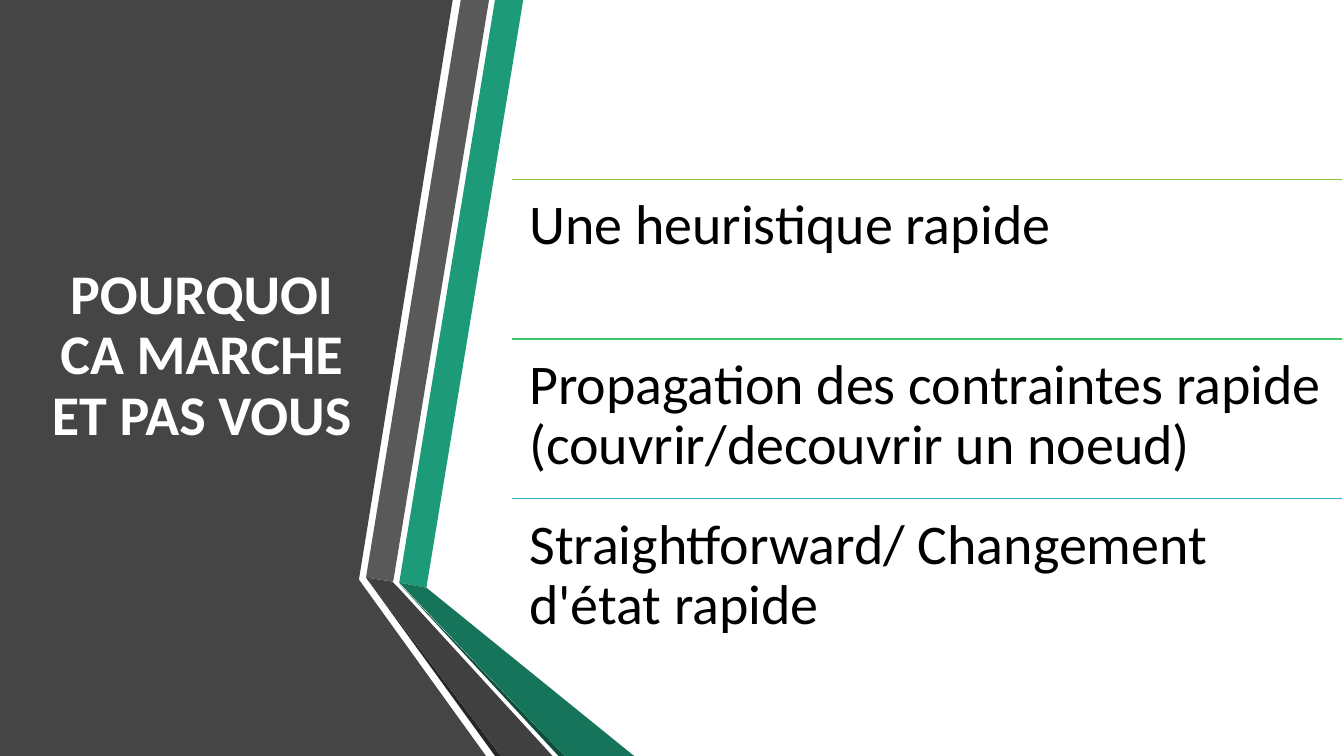
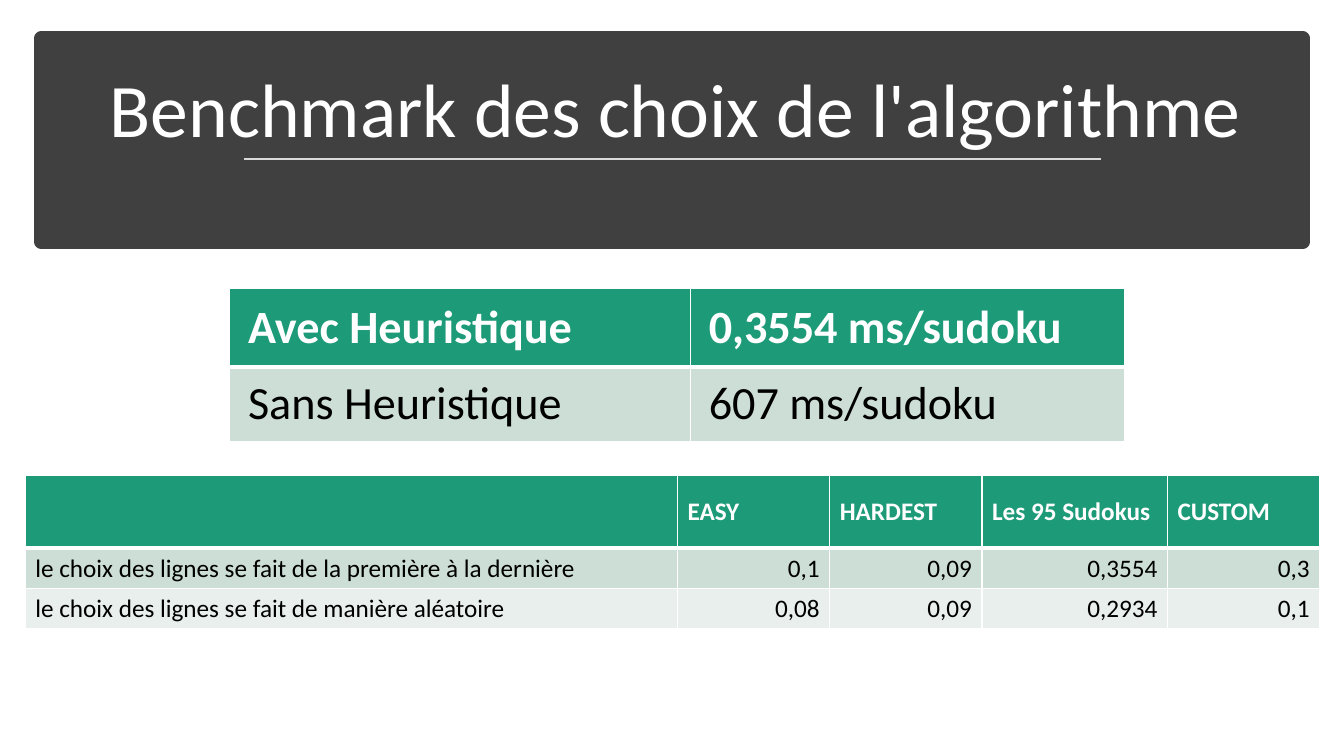
from lxml import etree
from pptx import Presentation
from pptx.dml.color import RGBColor
from pptx.enum.shapes import MSO_CONNECTOR, MSO_SHAPE
from pptx.enum.text import MSO_ANCHOR as Anchor, PP_ALIGN as Align
from pptx.oxml.ns import qn
from pptx.util import Inches, Pt

FONT = "Calibri"
WHITE, BLACK = "FFFFFF", "000000"
PANEL, BAND, RULE = "454545", "404040", "D9D9D9"
GREEN, BODY_FILLS = "1D9A78", ("CDDED6", "E8EFEC")
WIDTH, HEIGHT = 13.33, 7.5


def color(value):
    return RGBColor.from_string(value)


def write(frame, text, size, ink, bold=False, align=Align.LEFT, spacing=None):
    paragraph = frame.paragraphs[0]
    paragraph.alignment = align
    if spacing:
        paragraph.line_spacing = spacing
    run = paragraph.add_run()
    run.text = text
    run.font.name = FONT
    run.font.size = Pt(size)
    run.font.bold = bold
    run.font.color.rgb = color(ink)


def add_text(slide, box, text, size, ink, anchor=Anchor.TOP, insets=(0.1, 0.05), **style):
    frame = slide.shapes.add_textbox(*map(Inches, box)).text_frame
    frame.word_wrap = True
    frame.vertical_anchor = anchor
    frame.margin_left = frame.margin_right = Inches(insets[0])
    frame.margin_top = frame.margin_bottom = Inches(insets[1])
    write(frame, text, size, ink, spacing=0.9, **style)


def add_title(slide, box, text, size, **style):
    add_text(slide, box, text, size, WHITE, align=Align.CENTER, **style)


def add_rule(slide, left, top, width, ink, weight):
    line = slide.shapes.add_connector(
        MSO_CONNECTOR.STRAIGHT,
        Inches(left), Inches(top), Inches(left + width), Inches(top))
    line.line.color.rgb = color(ink)
    line.line.width = Pt(weight)
    etree.SubElement(line._element.spPr, qn("a:effectLst"))


def add_outline(slide, points, fill):
    corners = [(Inches(x), Inches(y)) for x, y in points]
    builder = slide.shapes.build_freeform(*corners[0], scale=1.0)
    builder.add_line_segments(corners[1:], close=True)
    shape = builder.convert_to_shape()
    shape.shadow.inherit = False
    shape.fill.solid()
    shape.fill.fore_color.rgb = color(fill)
    shape.line.fill.background()


# Tables: green header, tinted rows, white grid
def add_border(cell, side, weight):
    line = etree.SubElement(cell._tc.get_or_add_tcPr(), qn("a:ln" + side), w=str(Pt(weight)))
    fill = etree.SubElement(line, qn("a:solidFill"))
    etree.SubElement(fill, qn("a:srgbClr"), val=WHITE)


def add_grid(slide, left, top, widths, heights, rows, size, insets, numbers_right=False):
    table = slide.shapes.add_table(
        len(rows), len(widths), Inches(left), Inches(top),
        Inches(sum(widths)), Inches(sum(heights))).table
    for column, width in zip(table.columns, widths):
        column.width = Inches(width)
    for r, texts in enumerate(rows):
        table.rows[r].height = Inches(heights[r])
        header = r == 0
        for c, text in enumerate(texts):
            cell = table.cell(r, c)
            cell.margin_left = cell.margin_right = Inches(insets[0])
            cell.margin_top = cell.margin_bottom = Inches(insets[1])
            cell.vertical_anchor = Anchor.MIDDLE
            for side in "LRTB":
                under_header = (r, side) in ((0, "B"), (1, "T"))
                add_border(cell, side, 3 if under_header else 1)
            cell.fill.solid()
            cell.fill.fore_color.rgb = color(GREEN if header else BODY_FILLS[(r - 1) % 2])
            if text:
                right = numbers_right and not header and c > 0
                write(cell.text_frame, text, size, WHITE if header else BLACK,
                      bold=header, align=Align.RIGHT if right else Align.LEFT)


# Dark side panel with folded ribbons
def add_side_panel(slide):
    outlines = [
        (PANEL, [(0, 0), (4.49, 0), (3.56, 5.75), (4.82, HEIGHT), (0, HEIGHT)]),
        (GREEN, [(3.96, 5.78), (4.23, 5.83), (5.19, 0), (4.91, 0)]),
        ("595959", [(4.85, 0), (4.57, 0), (3.63, 5.73), (3.9, 5.77)]),
        ("262626", [(3.63, 5.73), (4.91, HEIGHT), (4.97, HEIGHT)]),
        ("0E4D3C", [(3.96, 5.79), (5.54, HEIGHT), (5.6, HEIGHT)]),
        ("16745A", [(3.96, 5.78), (5.6, HEIGHT), (6.29, HEIGHT), (4.23, 5.83)]),
        (BAND, [(5.48, HEIGHT), (3.95, 5.83), (3.89, 5.77), (3.63, 5.73), (4.97, HEIGHT)]),
    ]
    for fill, points in outlines:
        add_outline(slide, points, fill)


def add_reasons(slide, left, top, width, height, reasons):
    step = height / len(reasons)
    for index, (ink, text) in enumerate(reasons):
        y = top + index * step
        add_rule(slide, left, y, width, ink, 1)
        add_text(slide, (left, y, width, step), text, 40, BLACK, insets=(0.17, 0.17))


def add_title_band(slide, left, top, width, height, text):
    band = slide.shapes.add_shape(
        MSO_SHAPE.RECTANGLE, *map(Inches, (left, top, width, height)))
    band.shadow.inherit = False
    band.fill.solid()
    band.fill.fore_color.rgb = color(BAND)
    band.line.color.rgb = color(BAND)
    band.line.width = Pt(10)
    rule_top = top + 1.2
    add_title(slide, (left + 0.2, rule_top - 1.02, width - 0.33, 1.02), text, 54,
              anchor=Anchor.BOTTOM)
    add_rule(slide, left + 2.01, rule_top, 8.5, RULE, 1.75)


def build_reasons_slide(slide):
    add_side_panel(slide)
    add_title(slide, (0.38, 0.75, 3.24, 5.58), "POURQUOI CA MARCHE ET PAS VOUS", 40,
              anchor=Anchor.MIDDLE, bold=True)
    add_reasons(slide, 5.08, 1.78, 8.23, 4.75, [
        ("8BC145", "Une heuristique rapide"),
        ("3EC76A", "Propagation des contraintes rapide (couvrir/decouvrir un noeud)"),
        ("36AFCE", "Straightforward/ Changement d'état rapide"),
    ])


def build_benchmark_slide(slide):
    add_title_band(slide, 0.41, 0.38, 12.51, 2.02, "Benchmark des choix de l'algorithme")
    add_grid(slide, 2.28, 2.86, (4.57, 4.3), (0.78, 0.74), [
        ("Avec Heuristique", "0,3554 ms/sudoku"),
        ("Sans Heuristique", "607 ms/sudoku"),
    ], 33, (0.18, 0.09))
    add_grid(slide, 0.25, 4.72, (6.47, 1.51, 1.51, 1.84, 1.51), (0.72, 0.4, 0.4), [
        ("", "EASY", "HARDEST", "Les 95 Sudokus", "CUSTOM"),
        ("le choix des lignes se fait de la première à la dernière",
         "0,1", "0,09", "0,3554", "0,3"),
        ("le choix des lignes se fait de manière aléatoire",
         "0,08", "0,09", "0,2934", "0,1"),
    ], 18, (0.1, 0.05), numbers_right=True)


def main():
    presentation = Presentation()
    presentation.slide_width = Inches(WIDTH)
    presentation.slide_height = Inches(HEIGHT)
    for build in (build_reasons_slide, build_benchmark_slide):
        build(presentation.slides.add_slide(presentation.slide_layouts[6]))
    presentation.save("out.pptx")


if __name__ == "__main__":
    main()
